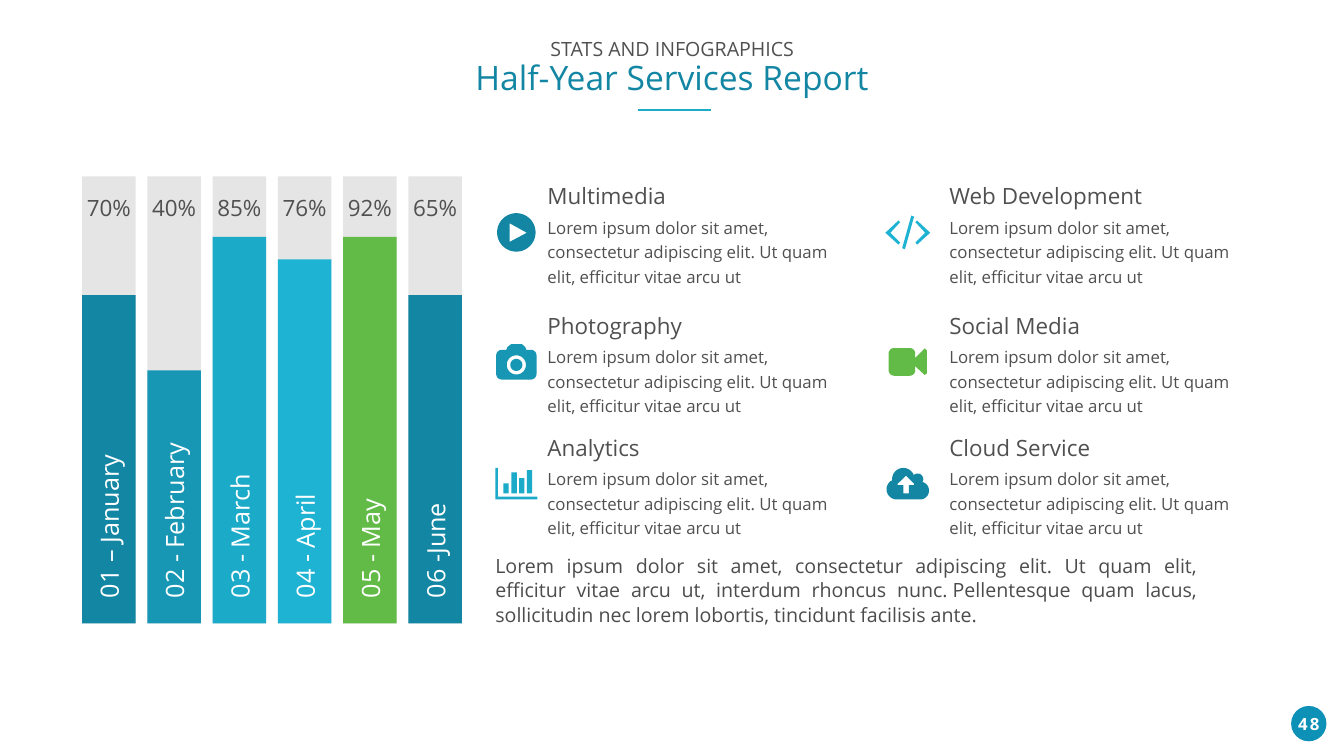
from math import cos, radians, sin

from lxml.etree import SubElement
from pptx import Presentation
from pptx.dml.color import RGBColor
from pptx.enum.shapes import MSO_CONNECTOR, MSO_SHAPE
from pptx.enum.text import MSO_ANCHOR as Anchor, MSO_AUTO_SIZE as AutoSize, PP_ALIGN as Align
from pptx.oxml.ns import qn
from pptx.util import Pt

FONT = "Open Sans"
WHITE, GREY, TRACK = "FFFFFF", "505050", "E5E5E5"
DEEP, TEAL, AQUA, SKY, GREEN = "1386A3", "1897B5", "1CAAC9", "1FB3D3", "61BB46"
BLURB = ("Lorem ipsum dolor sit amet, consectetur adipiscing elit. "
         "Ut quam elit, efficitur vitae arcu ut")
SUMMARY = (BLURB + ", interdum rhoncus nunc.\u00a0Pellentesque quam lacus, "
           "sollicitudin nec lorem lobortis, tincidunt facilisis ante.")
MONTHS = [("01 – January", "70%", 469, DEEP), ("02 - February", "40%", 361.5, TEAL),
          ("03 - March", "85%", 552, AQUA), ("04 - April", "76%", 520, SKY),
          ("05 - May", "92%", 552, GREEN), ("06 -June", "65%", 469, DEEP)]


def rgb(value):
    """Turn a hex string into a colour."""
    return RGBColor.from_string(value)


def paint(shape, color):
    """Give a shape a plain fill without line or shadow."""
    shape.shadow.inherit = False
    shape.fill.solid()
    shape.fill.fore_color.rgb = rgb(color)
    shape.line.fill.background()


def style(paragraph, size, color, align=Align.LEFT, spacing=None, bold=False):
    """Format one paragraph."""
    paragraph.alignment = align
    paragraph.line_spacing = spacing
    font = paragraph.font
    font.name, font.size, font.bold = FONT, Pt(size), bold
    font.color.rgb = rgb(color)


def add_text(slide, box, text, size, color, insets=(0, 0), anchor=Anchor.TOP, **format_options):
    """Add a wrapped text box with horizontal and vertical insets."""
    holder = slide.shapes.add_textbox(*map(Pt, box))
    frame = holder.text_frame
    frame.word_wrap, frame.vertical_anchor = True, anchor
    frame.margin_left = frame.margin_right = Pt(insets[0])
    frame.margin_top = frame.margin_bottom = Pt(insets[1])
    frame.text = text
    style(frame.paragraphs[0], size, color, **format_options)
    return holder


def arc(x, y, radius, start=0, end=360):
    """List points on an arc, clockwise in degrees from the right."""
    steps = max(6, abs(end - start) // 8)
    angles = [radians(start + (end - start) * i / steps) for i in range(steps + 1)]
    return [(x + radius * cos(a), y + radius * sin(a)) for a in angles]


def rounded(x, y, width, height, radius):
    """List the points of a rounded rectangle."""
    left, right = x + radius, x + width - radius
    top, bottom = y + radius, y + height - radius
    return (arc(left, top, radius, 180, 270) + arc(right, top, radius, 270, 360)
            + arc(right, bottom, radius, 0, 90) + arc(left, bottom, radius, 90, 180))


def play_icon():
    """Outline a disc with a play mark."""
    return [arc(27.5, 27.5, 27.5), [(18, 14.5), (42.5, 28), (18, 41)]]


def camera_icon():
    """Outline a photo camera."""
    return [rounded(0, 8, 57.6, 42.4, 8), [(14.4, 8), (16, 4), (21, 0), (37, 0), (41.5, 4), (43, 8)],
            arc(28.8, 29.5, 13.7), arc(28.8, 29.5, 8.6)]


def graph_icon():
    """Outline two axes and four bars."""
    axes = [(60, 45), (0, 45), (0, 0), (3.5, 0), (3.5, 41), (60, 41)]
    bars = [[(x, 36.5), (x, top), (x + 7.6, top), (x + 7.6, 36.5)]
            for x, top in zip((11.5, 23, 34, 45), (22, 6.5, 14.5, 3))]
    return [axes, *bars]


def code_icon():
    """Outline a slash between angle brackets."""
    bracket = [(18.7, 7), (21, 9.5), (7.2, 24.5), (21, 38.5), (18.7, 41.5), (0, 24.5)]
    slash = [(28, 48), (24, 46.5), (37, 0), (41, 1.5)]
    return [bracket, slash, [(64 - x, y) for x, y in bracket]]


def video_icon():
    """Outline a video camera."""
    lens = [(38, 14), (51.5, 0.5), (54.7, 3.5), (54.7, 36), (51.5, 38.5), (38, 26)]
    return [rounded(0, 0, 38, 39.6, 8), lens]


def cloud_icon():
    """Outline a cloud with an upward arrow."""
    cloud = (arc(14.5, 30.5, 14.5, 90, 238) + arc(24, 16, 16, 173, 338)
             + arc(44.5, 16, 8, 230, 395) + arc(48, 32.3, 12.7, 290, 450))
    arrow = [(28, 11), (39.5, 22.5), (39.5, 24.5), (32, 24.5), (32, 36.5),
             (24, 36.5), (24, 24.5), (16, 24.5), (16, 22.5)]
    return [cloud, arrow]


def add_icon(slide, center, contours, color):
    """Draw contours as one freeform centred on a point."""
    xs, ys = zip(*(point for contour in contours for point in contour))
    dx = center[0] - (min(xs) + max(xs)) / 2
    dy = center[1] - (min(ys) + max(ys)) / 2
    placed = [[(Pt(x + dx), Pt(y + dy)) for x, y in contour] for contour in contours]
    builder = slide.shapes.build_freeform(*placed[0][0])
    builder.add_line_segments(placed[0][1:])
    for contour in placed[1:]:
        builder.move_to(*contour[0])
        builder.add_line_segments(contour[1:])
    paint(builder.convert_to_shape(), color)


def add_heading(slide, box):
    """Fill the title placeholder and underline it."""
    left, top, width, height = box
    title = slide.shapes.title
    title.left, title.top, title.width, title.height = map(Pt, box)
    frame = title.text_frame
    frame.text = "STATS AND INFOGRAPHICS\nHalf-Year Services Report"
    frame.vertical_anchor, frame.auto_size = Anchor.TOP, AutoSize.NONE
    for paragraph, size, color in zip(frame.paragraphs, (28, 48), (GREY, DEEP)):
        style(paragraph, size, color, Align.CENTER, 0.9)
        paragraph.space_before = Pt(0)
    middle, level = left + width / 2 + 3.5, top + height + 13.5
    rule = slide.shapes.add_connector(MSO_CONNECTOR.STRAIGHT, Pt(middle + 52), Pt(level),
                                      Pt(middle - 52), Pt(level))
    rule.line.color.rgb, rule.line.width = rgb(AQUA), Pt(3)
    SubElement(rule._element.spPr, qn("a:effectLst"))


def add_month_bars(slide, box):
    """Draw one track, filled bar, share and month name per month."""
    left, top, width, height = box
    bar_width, label_width, label_height = 76.3, 500, 44
    pitch = (width - bar_width) / (len(MONTHS) - 1)
    for index, (month, share, filled, color) in enumerate(MONTHS):
        x = left + index * pitch
        center = x + bar_width / 2
        for bar_height, fill in ((height, TRACK), (filled, color)):
            bar = slide.shapes.add_shape(MSO_SHAPE.RECTANGLE, Pt(x), Pt(top + height - bar_height),
                                         Pt(bar_width), Pt(bar_height))
            paint(bar, fill)
        label_top = top + height - 16.5 - label_width / 2 - label_height / 2
        label = add_text(slide, (center - label_width / 2, label_top, label_width, label_height),
                         month, 36, WHITE, (19.5, 0), Anchor.MIDDLE)
        label.rotation = 270
        add_text(slide, (center - 56, top + 25, 112, 39), share, 32, GREY,
                 (19.5, 0), Anchor.MIDDLE, align=Align.CENTER)


def add_service(slide, box, name, contours, color, icon_gap):
    """Place a service name, its text and an icon to the left."""
    left, top, width, height = box
    add_text(slide, (left, top, width, 53), name, 32, GREY, (14.4, 7.2))
    add_text(slide, (left, top + 44, width, height - 44), BLURB, 24, GREY, (14.4, 7.2),
             spacing=Pt(35))
    add_icon(slide, (left - icon_gap, top + 78.5), contours, color)


def add_services(slide, box):
    """Arrange the services in two columns with a summary below."""
    left, top, width, height = box
    columns = [(30, [("Multimedia", play_icon, DEEP), ("Photography", camera_icon, TEAL),
                     ("Analytics", graph_icon, AQUA)]),
               (45, [("Web Development", code_icon, SKY), ("Social Media", video_icon, GREEN),
                     ("Cloud Service", cloud_icon, DEEP)])]
    for column, (icon_gap, services) in enumerate(columns):
        for row_top, (name, outline, color) in zip((0, 185, 359), services):
            add_service(slide, (left + 60 + column * 574, top + row_top, 451, 162),
                        name, outline(), color, icon_gap)
    summary = add_text(slide, (left, top + height - 96.5, width, 96.5), SUMMARY, 28, "4C4C4C",
                       anchor=Anchor.MIDDLE, align=Align.JUSTIFY, spacing=Pt(35))
    summary.text_frame.paragraphs[0].space_before = Pt(30)


def add_page_number(slide, box):
    """Draw the page number on a disc."""
    left, top, width, height = box
    paint(slide.shapes.add_shape(MSO_SHAPE.OVAL, *map(Pt, box)), "0E91B7")
    number = add_text(slide, (left - 3.5, top + 7, width + 7, 36), "48", 24, WHITE, (7.2, 3.6),
                      align=Align.CENTER, bold=True)
    number.text_frame.paragraphs[0].runs[0]._r.get_or_add_rPr().set("spc", "300")


def main():
    """Build and save the report slide."""
    deck = Presentation()
    deck.slide_width, deck.slide_height = Pt(1919.5), Pt(1080)
    slide = deck.slides.add_slide(deck.slide_layouts[5])
    add_page_number(slide, (1844, 1008.5, 50.5, 50.5))
    add_month_bars(slide, (117.4, 252, 542.3, 638.5))
    add_services(slide, (707.5, 253.5, 1002, 636.5))
    add_heading(slide, (669, 53.5, 582, 90))
    deck.save("out.pptx")


if __name__ == "__main__":
    main()
